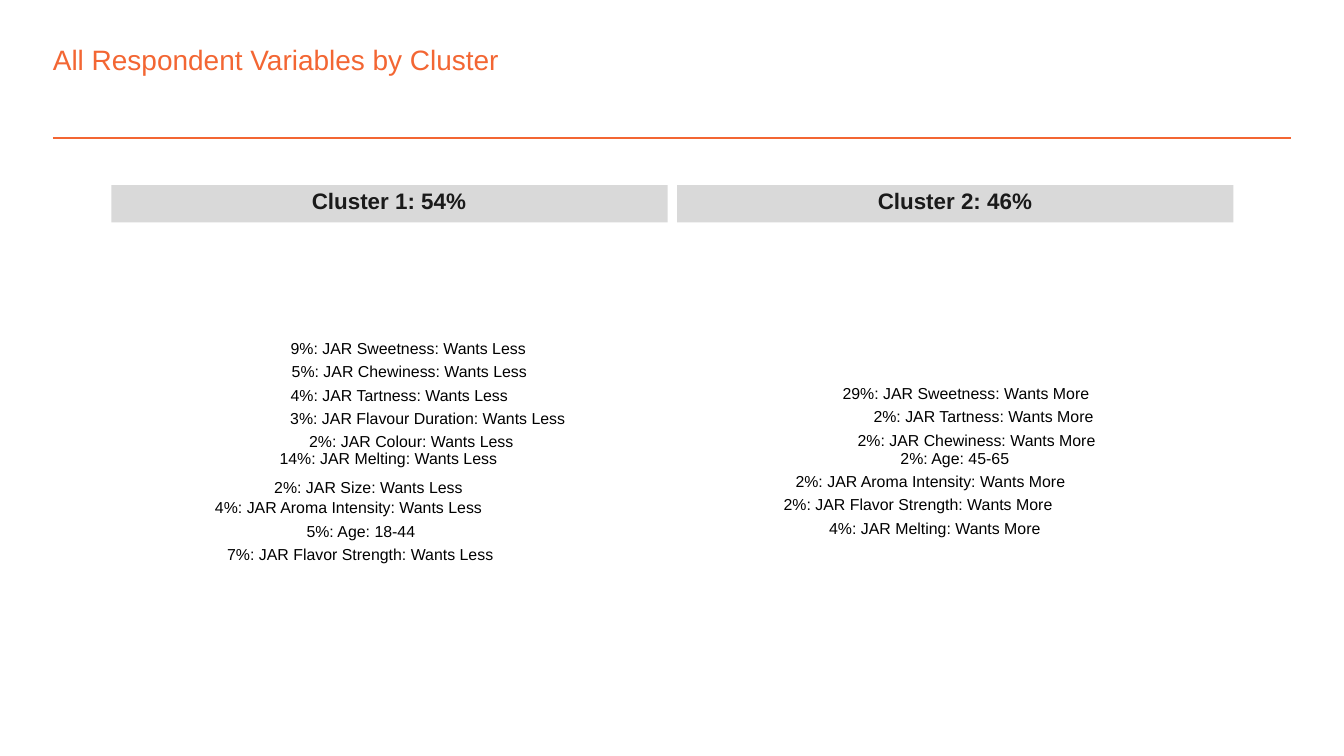
"""Build the slide that lists respondent variables by cluster."""
from pptx import Presentation
from pptx.dml.color import RGBColor as Rgb
from pptx.enum.shapes import MSO_CONNECTOR as Conn, MSO_SHAPE as Kind
from pptx.enum.text import MSO_ANCHOR as Anchor, MSO_AUTO_SIZE as Fit
from pptx.oxml.xmlchemy import OxmlElement as Node
from pptx.util import Pt

HUES = {"accent": "F36633", "band": "D9D9D9", "head": "1A1A1A", "body": "000000", "plate": "FFFFFF"}

CLUSTERS = [
    ("Cluster 1: 54%", [
        ("9%: JAR Sweetness: Wants Less", 155.7, 184.3, 126.7),
        ("5%: JAR Chewiness: Wants Less", 156.3, 196.6, 126.7),
        ("4%: JAR Tartness: Wants Less", 155.7, 209.5, 118),
        ("3%: JAR Flavour Duration: Wants Less", 155.5, 221.8, 148.3),
        ("2%: JAR Colour: Wants Less", 165.6, 234, 110.2),
        ("14%: JAR Melting: Wants Less", 149.8, 242.6, 117.4),
        ("2%: JAR Size: Wants Less", 146.9, 258.5, 101.5),
        ("4%: JAR Aroma Intensity: Wants Less", 115.2, 268.6, 144),
        ("5%: Age: 18-44", 164.2, 281.5, 59),
        ("7%: JAR Flavor Strength: Wants Less", 121.7, 293.8, 143.3),
    ]),
    ("Cluster 2: 46%", [
        ("29%: JAR Sweetness: Wants More", 451.4, 208.1, 132.5),
        ("2%: JAR Tartness: Wants More", 468, 220.3, 119.5),
        ("2%: JAR Chewiness: Wants More", 459.4, 233.3, 128.2),
        ("2%: Age: 45-65", 482.4, 242.6, 59),
        ("2%: JAR Aroma Intensity: Wants More", 426.2, 254.9, 145.4),
        ("2%: JAR Flavor Strength: Wants More", 419.8, 267.1, 144.7),
        ("4%: JAR Melting: Wants More", 444.2, 280.1, 113.8),
    ]),
]


class Deck:
    def __init__(self, wide, high):
        self.file = Presentation()
        self.file.slide_width, self.file.slide_height = Pt(wide), Pt(high)
        self.slide = self.file.slides.add_slide(self.file.slide_layouts[6])
        self.font = "Arial"

    def hue(self, name):
        return Rgb.from_string(HUES[name])

    def rule(self, left, right, top, hue):
        line = self.slide.shapes.add_connector(Conn.STRAIGHT, Pt(left), Pt(top), Pt(right), Pt(top))
        line.line.color.rgb = self.hue(hue)
        line.line.width = Pt(1)
        line._element.spPr.append(Node("a:effectLst"))

    def rect(self, spot, hue, edge=0):
        shape = self.slide.shapes.add_shape(Kind.RECTANGLE, *map(Pt, spot))
        shape.shadow.inherit = False
        shape.fill.solid()
        shape.fill.fore_color.rgb = self.hue(hue)
        if edge:
            shape.line.color.rgb = self.hue(hue)
            shape.line.width = Pt(edge)
        else:
            shape.line.fill.background()

    def text(self, words, spot, size, hue, bold=False, **form):
        frame = self.slide.shapes.add_textbox(*map(Pt, spot)).text_frame
        base = dict.fromkeys(("margin_left", "margin_top", "margin_right", "margin_bottom"), 0)
        for key, value in {**base, **form}.items():
            setattr(frame, key, value)
        para = frame.paragraphs[0]
        run = para.add_run()
        run.text = words
        run.font.color.rgb = self.hue(hue)
        for key, value in {"name": self.font, "size": Pt(size), "bold": bold}.items():
            setattr(run.font, key, value)
        return para

    def label(self, words, spot, size, hue, bold=False):
        para = self.text(words, spot, size, hue, bold, word_wrap=False, vertical_anchor=Anchor.MIDDLE)
        para.line_spacing = Pt(size)

    def save(self):
        self.file.save("out.pptx")


def main():
    deck = Deck(720, 405)
    deck.rule(28.35, 691.65, 74, "accent")
    deck.text("All Respondent Variables by Cluster", (28.35, 23, 597, 18), 15, "accent",
              word_wrap=True, auto_size=Fit.SHAPE_TO_FIT_TEXT)
    deck.rect((54, 93.6, 612, 288), "plate", 0.75)
    for col, (head, items) in enumerate(CLUSTERS):
        left = 59.6 + 303.2 * col
        deck.rect((left, 99.2, 298, 20), "band")
        deck.label(head, (left + 107.5, 104.2, 83, 9.4), 12, "head", True)
        for words, start, top, wide in items:
            high = 7.9 if set("gy") & set(words) else 6.5
            deck.label(words, (start, top, wide, high), 8.5, "body")
    deck.save()


if __name__ == "__main__":
    main()
